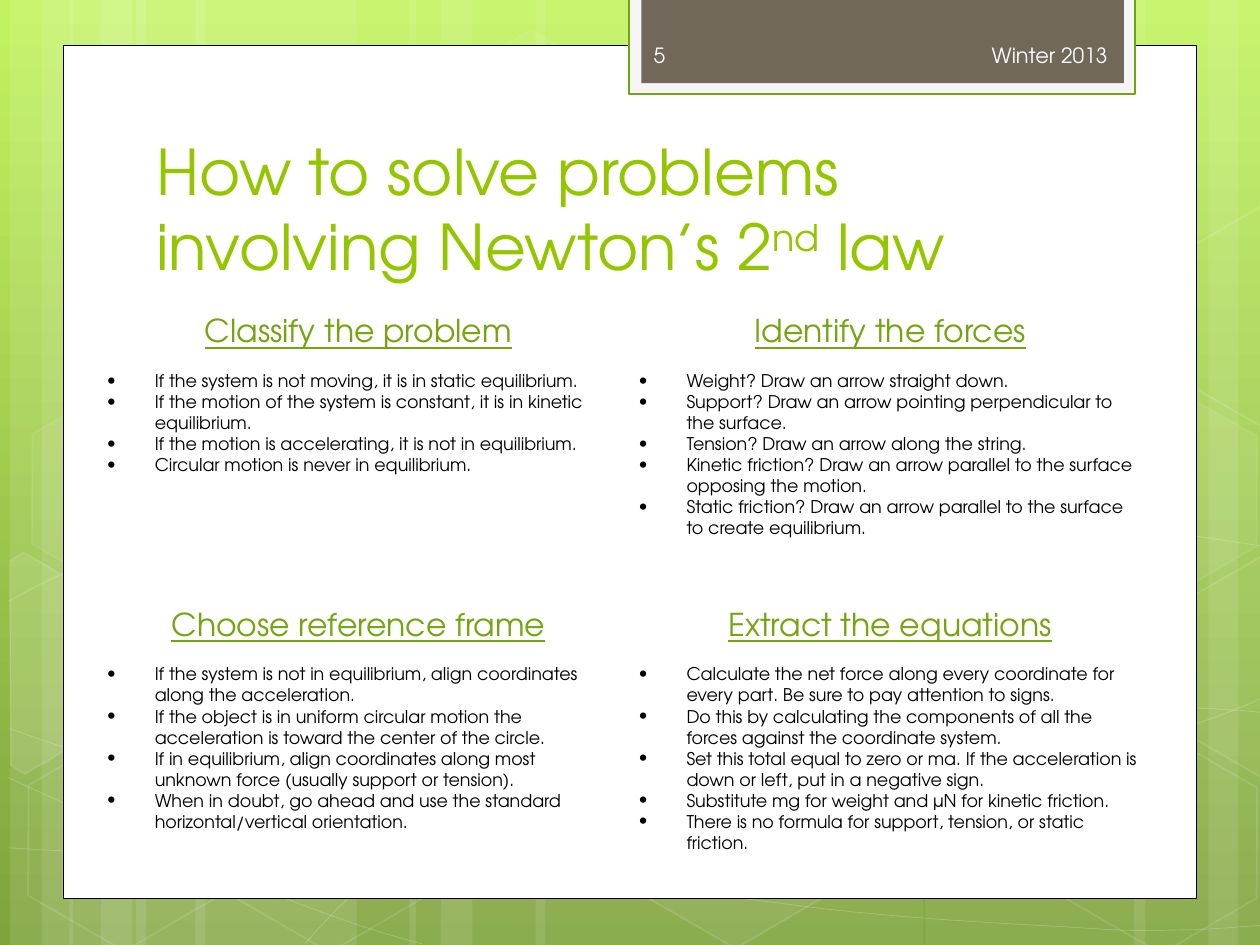
import math
from dataclasses import dataclass

import pptx
import pptx.dml.color
import pptx.enum.shapes
import pptx.enum.text
import pptx.oxml.ns
import pptx.util
from lxml import etree
from pptx.util import Inches

SHAPES = pptx.enum.shapes.MSO_SHAPE
ALIGN = pptx.enum.text.PP_ALIGN
ANCHOR = pptx.enum.text.MSO_ANCHOR
qn = pptx.oxml.ns.qn


@dataclass(frozen=True)
class Theme:
    font: str = "TeX Gyre Adventor"
    sky: str = "C2F35F"
    grass: str = "80A33D"
    white: str = "FFFFFF"
    black: str = "000000"
    lime: str = "94C600"
    green: str = "74A510"
    frame: str = "F5F5F5"
    brown: str = "71685A"
    tab_text: str = "FEFEFE"
    title_size: int = 36
    heading_size: int = 18
    tab_size: int = 12
    body_size: int = 10


THEME = Theme()
TILT = 30

# Background decoration: (left, width) of the stripes
STRIPES = [(1.08, 1.75), (0.08, 0.5), (0.33, 0.83), (1.55, 1.75), (0.55, 0.5), (0.8, 0.83),
           (7.34, 1.75), (9.59, 0.5), (9, 0.83), (4.25, 3.08), (3.25, 0.5), (3.5, 0.83)]
# Each swoosh: a start point, then Bezier segments of three points
SWOOSHES = [
    [(0.07, 6.73), (0.61, 6.76), (1.15, 6.79), (1.9, 6.78), (2.65, 6.77), (3.58, 6.75), (4.58, 6.65),
     (5.58, 6.55), (7, 6.36), (7.92, 6.17), (8.83, 5.98), (9.77, 5.68), (10.07, 5.51)],
    [(0.07, 4.77), (0.36, 4.61), (0.65, 4.46), (1.21, 4.31), (1.78, 4.16), (2.59, 3.94), (3.47, 3.87),
     (4.36, 3.8), (5.44, 3.79), (6.54, 3.87), (7.64, 3.95), (9.47, 4.26), (10.07, 4.34)],
    [(0.06, 6.17), (1.27, 6.72), (2.47, 7.27), (3.35, 7.49)],
    [(0.07, 5.78), (0.38, 5.89), (0.7, 6), (1.28, 6.16), (1.86, 6.31), (2.73, 6.56), (3.57, 6.73),
     (4.4, 6.9), (5.45, 7.08), (6.28, 7.18), (7.11, 7.29), (8, 7.33), (8.53, 7.36),
     (9.06, 7.4), (9.19, 7.38), (9.45, 7.38), (9.71, 7.37), (9.89, 7.35), (10.07, 7.34)],
    [(2.42, 7.49), (2.6, 7.29), (2.78, 7.09), (3.02, 6.91), (3.26, 6.72), (3.6, 6.53), (3.88, 6.39),
     (4.16, 6.25), (4.33, 6.19), (4.69, 6.09), (5.06, 5.99), (5.73, 5.85), (6.08, 5.78),
     (6.44, 5.71), (6.49, 5.71), (6.8, 5.69), (7.11, 5.66), (7.6, 5.63), (7.94, 5.62),
     (8.29, 5.61), (8.86, 5.62), (8.86, 5.62), (9.08, 5.62), (9.31, 5.62), (9.53, 5.62),
     (9.71, 5.63), (9.88, 5.64), (9.97, 5.65), (10.06, 5.66), (10.03, 5.65), (10.06, 5.66)],
]
# (left, top, fill opacity, line opacity) in percent
HEXAGONS = [(3.34, 0.36, 4, 8), (4.96, 5.89, 6, 12), (0.11, 5.91, None, 12), (0.14, 3.12, 7, 8),
            (1.74, 5.92, None, 12), (7.53, 4.53, 10, 12), (8.34, 5.93, None, 12), (8.34, 3.14, 7, 8)]
# (centre, visible corners, fill opacity) of the hexagons cut by the slide edge
CUT_HEXAGONS = [
    ((0.36, 5.36), [(0.08, 4.45), (0.19, 4.38), (0.96, 4.83), (0.95, 5.7), (0.2, 6.14), (0.09, 6.07)], 10),
    ((9.85, 5.2), [(9.26, 4.85), (10.02, 4.41), (10.09, 4.46), (10.09, 6.13), (10.02, 6.17), (9.26, 5.73)], 4),
    ((9.85, 2.41), [(9.26, 2.07), (10.02, 1.63), (10.1, 1.68), (10.09, 3.35), (10.02, 3.39), (9.26, 2.95)], None),
]

STEPS = [
    ("Classify the problem", [
        "If the system is not moving, it is in static equilibrium.",
        "If the motion of the system is constant, it is in kinetic equilibrium.",
        "If the motion is accelerating, it is not in equilibrium.",
        "Circular motion is never in equilibrium."]),
    ("Identify the forces", [
        "Weight? Draw an arrow straight down.",
        "Support? Draw an arrow pointing perpendicular to the surface.",
        "Tension? Draw an arrow along the string.",
        "Kinetic friction? Draw an arrow parallel to the surface opposing the motion.",
        "Static friction? Draw an arrow parallel to the surface to create equilibrium."]),
    ("Choose reference frame", [
        "If the system is not in equilibrium, align coordinates along the acceleration.",
        "If the object is in uniform circular motion the acceleration is toward the center of the circle.",
        "If in equilibrium, align coordinates along most unknown force (usually support or tension).",
        "When in doubt, go ahead and use the standard horizontal/vertical orientation."]),
    ("Extract the equations", [
        "Calculate the net force along every coordinate for every part. Be sure to pay attention to signs.",
        "Do this by calculating the components of all the forces against the coordinate system.",
        "Set this total equal to zero or ma. If the acceleration is down or left, put in a negative sign.",
        "Substitute mg for weight and µN for kinetic friction.",
        "There is no formula for support, tension, or static friction."]),
]


def rgb(code):
    return pptx.dml.color.RGBColor.from_string(code)


def paint(fill, color, opacity=100):
    """Fill with a colour; None leaves the fill empty."""
    if color is None or opacity is None:
        fill.background()
        return
    fill.solid()
    fill.fore_color.rgb = rgb(color)
    if opacity < 100:
        for clr in fill._xPr.iter(qn("a:srgbClr")):
            etree.SubElement(clr, qn("a:alpha"), val=str(opacity * 1000))


def style(shape, fill=None, opacity=100, line=None, width=1, line_opacity=100):
    shape.shadow.inherit = False
    paint(shape.fill, fill, opacity)
    paint(shape.line.fill, line, line_opacity)
    if line:
        shape.line.width = pptx.util.Pt(width)
    return shape


def add_panel(slide, box, kind=SHAPES.RECTANGLE, **look):
    return style(slide.shapes.add_shape(kind, *map(Inches, box)), **look)


def add_outline(slide, points, close, **look):
    corners = [(Inches(x), Inches(y)) for x, y in points]
    builder = slide.shapes.build_freeform(*corners[0])
    builder.add_line_segments(corners[1:], close=close)
    return style(builder.convert_to_shape(), **look)


def bend(outline):
    """Join each three line segments of an outline into one Bezier segment."""
    lines = list(outline._element.iter(qn("a:lnTo")))
    for i in range(0, len(lines), 3):
        curve = etree.Element(qn("a:cubicBezTo"))
        lines[i].addprevious(curve)
        for line in lines[i:i + 3]:
            curve.append(line[0])
            line.getparent().remove(line)


def write(paragraph, text, size, color, **formats):
    run = paragraph.add_run()
    run.text = text
    values = {"name": THEME.font, "size": pptx.util.Pt(size), **formats}
    for attribute, value in values.items():
        setattr(run.font, attribute, value)
    run.font.color.rgb = rgb(color)
    return run


def add_label(slide, box, align):
    """Empty, vertically centred text box; returns its first paragraph."""
    frame = slide.shapes.add_textbox(*map(Inches, box)).text_frame
    frame.word_wrap = True
    frame.vertical_anchor = ANCHOR.MIDDLE
    frame.paragraphs[0].alignment = align
    return frame.paragraphs[0]


def turn_back(points, centre):
    """Undo the tilt, so that the shape's own rotation restores it."""
    cos, sin = math.cos(math.radians(TILT)), math.sin(math.radians(TILT))
    cx, cy = centre
    return [(cx + (x - cx) * cos + (y - cy) * sin, cy - (x - cx) * sin + (y - cy) * cos) for x, y in points]


def draw_background(slide, height):
    fill = slide.background.fill
    fill.gradient()
    fill.gradient_angle = 270
    for stop, color in zip(fill.gradient_stops, (THEME.sky, THEME.grass)):
        stop.color.rgb = rgb(color)
    for left, width in STRIPES:
        add_panel(slide, (left, 0, width, height), fill=THEME.white, opacity=10)
    for swoosh in SWOOSHES:
        bend(add_outline(slide, swoosh, False, line=THEME.white, width=0.5, line_opacity=20))
    for left, top, opacity, line_opacity in HEXAGONS:
        hexagon = add_panel(slide, (left, top, 1.75, 1.52), SHAPES.HEXAGON, fill=THEME.white,
                            opacity=opacity, line=THEME.white, line_opacity=line_opacity)
        hexagon.adjustments[0] = 0.285
        hexagon.rotation = TILT
    for centre, corners, opacity in CUT_HEXAGONS:
        add_outline(slide, turn_back(corners, centre), True, fill=THEME.white, opacity=opacity,
                    line=THEME.white, line_opacity=12).rotation = TILT


def draw_tab(slide, box):
    left, top, width, height = box
    add_panel(slide, box, fill=THEME.frame, line=THEME.green, width=1.25)
    add_panel(slide, (left + 0.1, top, width - 0.19, height - 0.09), fill=THEME.brown)
    for offset, label_width, text, align in [(1.57, 2.33, "Winter 2013", ALIGN.RIGHT),
                                             (0.1, 1.46, "5", ALIGN.LEFT)]:
        label = add_label(slide, (left + offset, top + 0.26, label_width, 0.4), align)
        write(label, text, THEME.tab_size, THEME.tab_text)


def draw_title(slide, box):
    title = add_label(slide, box, ALIGN.LEFT)
    for text, baseline in [("How to solve problems involving Newton’s 2", 0), ("nd", 30000), (" law", 0)]:
        run = write(title, text, THEME.title_size, THEME.lime)
        if baseline:
            run.font._element.set("baseline", str(baseline))


def hang(paragraph):
    """Give a paragraph its hanging indent; returns its properties."""
    props = paragraph._p.get_or_add_pPr()
    props.set("marL", str(Inches(0.38)))
    props.set("indent", str(-Inches(0.38)))
    return props


def draw_step(slide, box, heading, points):
    frame = add_panel(slide, box, fill=THEME.white).text_frame
    frame.word_wrap = True
    frame.vertical_anchor = ANCHOR.TOP
    title = frame.paragraphs[0]
    title.alignment = ALIGN.CENTER
    hang(title)
    write(title, heading, THEME.heading_size, THEME.green, underline=True)
    for i, point in enumerate(points):
        item = frame.add_paragraph()
        item.alignment = ALIGN.LEFT
        if i == 0:
            item.space_before = pptx.util.Pt(12)
        props = hang(item)
        bullet_color = etree.SubElement(props, qn("a:buClr"))
        etree.SubElement(bullet_color, qn("a:srgbClr"), val=THEME.black)
        etree.SubElement(props, qn("a:buFont"), typeface=THEME.font)
        etree.SubElement(props, qn("a:buChar"), char="•")
        write(item, point, THEME.body_size, THEME.black)


def main():
    deck = pptx.Presentation()
    deck.slide_width, deck.slide_height = Inches(10), Inches(7.5)
    slide = deck.slides.add_slide(deck.slide_layouts[6])
    draw_background(slide, 7.5)
    # White page
    add_panel(slide, (0.5, 0.36, 9, 6.77), fill=THEME.white, line=THEME.black, width=0.5)
    draw_tab(slide, (4.99, -0.02, 4.02, 0.77))
    # Four steps in a two by two grid
    for i, (heading, points) in enumerate(STEPS):
        row, column = divmod(i, 2)
        draw_step(slide, (0.75 + column * 4.22, 2.42 + row * 2.33, 4.19, 2.17), heading, points)
    draw_title(slide, (1.14, 0.92, 7.68, 1.46))
    deck.save("out.pptx")


if __name__ == "__main__":
    main()
